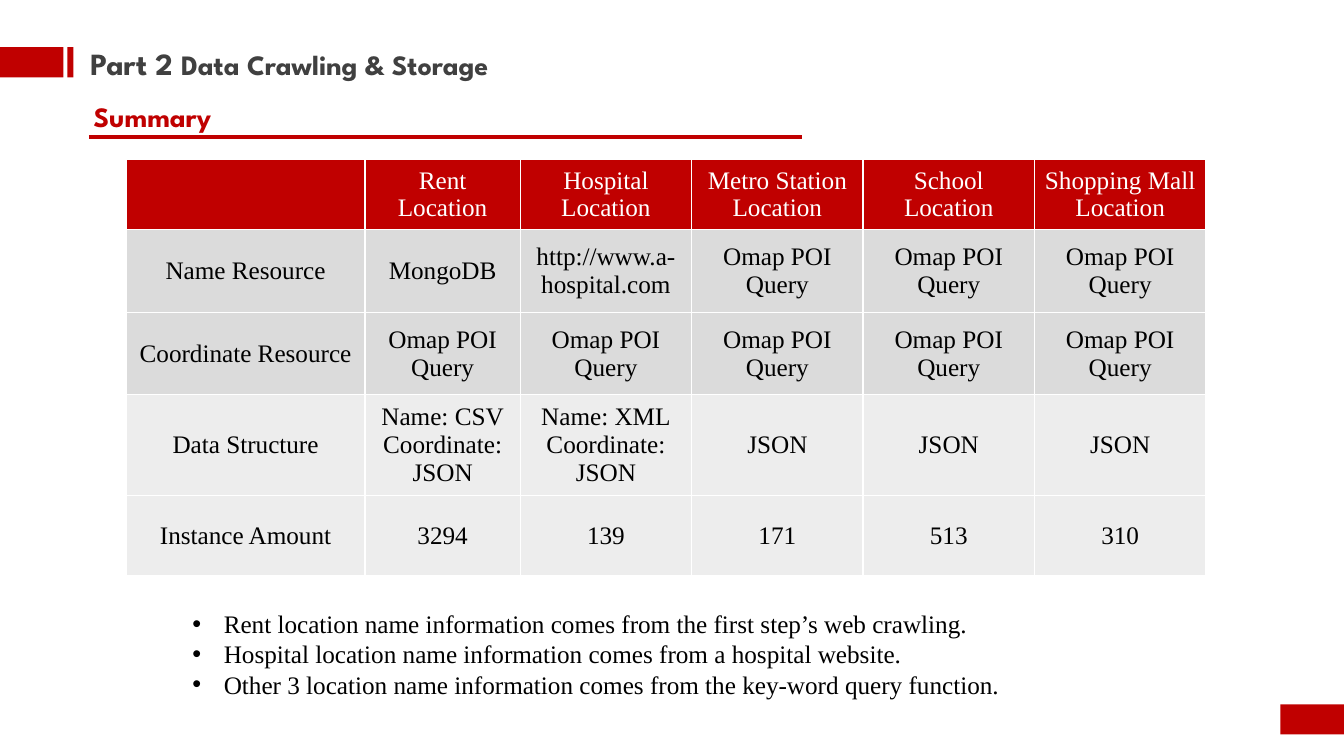
from dataclasses import dataclass

from lxml.etree import SubElement
from pptx import Presentation
from pptx.dml.color import RGBColor
from pptx.enum.shapes import MSO_CONNECTOR as Connector, MSO_SHAPE as Preset
from pptx.enum.text import MSO_ANCHOR as Anchor, PP_ALIGN as Align
from pptx.oxml.ns import qn
from pptx.slide import Slide
from pptx.table import _Cell as Cell
from pptx.text.text import TextFrame
from pptx.util import Cm, Pt


@dataclass(frozen=True)
class Theme:
    red: str = "C00000"
    heading: str = "404040"
    white: str = "FFFFFF"
    black: str = "000000"
    dark_band: str = "DBDBDB"
    light_band: str = "EDEDED"
    heading_font: str = "League Spartan"
    body_font: str = "Times New Roman"
    part_size: int = 22
    heading_size: int = 20
    body_size: int = 18
    grid_width: int = 1
    underline_width: int = 3


@dataclass(frozen=True)
class Box:
    left: float
    top: float
    width: float
    height: float

    def lengths(self) -> tuple[Cm, Cm, Cm, Cm]:
        return Cm(self.left), Cm(self.top), Cm(self.width), Cm(self.height)


@dataclass(frozen=True)
class Row:
    height: float
    fill: str
    color: str
    texts: tuple[str, ...]


THEME = Theme()
QUERY = "Omap POI Query"

ACCENTS = (
    Box(0, 1.19, 1.6, 0.76),
    Box(1.7, 1.19, 0.15, 0.76),
    Box(32.27, 17.75, 1.6, 0.76),
)
COLUMN_WIDTHS = (6.02, 3.91) + (4.32,) * 4
ROWS = (
    Row(1.42, THEME.red, THEME.white,
        ("", "Rent Location", "Hospital Location", "Metro Station Location",
         "School Location", "Shopping Mall Location")),
    Row(2.08, THEME.dark_band, THEME.black,
        ("Name Resource", "MongoDB", "http://www.a-hospital.com") + (QUERY,) * 3),
    Row(2.08, THEME.dark_band, THEME.black,
        ("Coordinate Resource",) + (QUERY,) * 5),
    Row(2.03, THEME.light_band, THEME.black,
        ("Data Structure", "Name: CSV\nCoordinate: JSON",
         "Name: XML\nCoordinate: JSON") + ("JSON",) * 3),
    Row(2.01, THEME.light_band, THEME.black,
        ("Instance Amount", "3294", "139", "171", "513", "310")),
)
NOTES = (
    "Rent location name information comes from the first step’s web crawling.\n"
    "Hospital location name information comes from a hospital website.\n"
    "Other 3 location name information comes from the key-word query function."
)


def write(frame: TextFrame, text: str, *, size: int = THEME.body_size,
          font: str = THEME.body_font, color: str = THEME.black,
          bold: bool = False, align: Align = Align.LEFT,
          bullet: bool = False, lead: str = "", lead_size: int = 0) -> None:
    """Fill a frame, one paragraph a line; lead opens the first at its own size."""
    frame.word_wrap = True
    for index, line in enumerate(text.split("\n")):
        paragraph = frame.add_paragraph() if index else frame.paragraphs[0]
        paragraph.alignment = align
        if bullet:
            props = paragraph._p.get_or_add_pPr()
            props.set("marL", str(Cm(0.79)))
            props.set("indent", str(Cm(-0.91)))
            SubElement(props, qn("a:buFont"), typeface="Arial")
            SubElement(props, qn("a:buChar"), char="•")
        pieces = [(line, size)]
        if lead and index == 0:
            pieces.insert(0, (lead, lead_size))
        for words, points in pieces:
            run = paragraph.add_run()
            run.text = words
            run.font.size = Pt(points)
            run.font.name = font
            run.font.bold = bold
            run.font.color.rgb = RGBColor.from_string(color)


def add_text(slide: Slide, box: Box, text: str, **style) -> None:
    write(slide.shapes.add_textbox(*box.lengths()).text_frame, text, **style)


def add_accent(slide: Slide, box: Box) -> None:
    accent = slide.shapes.add_shape(Preset.RECTANGLE, *box.lengths())
    accent.shadow.inherit = False
    accent.fill.solid()
    accent.fill.fore_color.rgb = RGBColor.from_string(THEME.red)
    accent.line.fill.background()


def add_underline(slide: Slide, left: float, right: float, y: float) -> None:
    underline = slide.shapes.add_connector(
        Connector.STRAIGHT, Cm(left), Cm(y), Cm(right), Cm(y))
    underline.line.color.rgb = RGBColor.from_string(THEME.red)
    underline.line.width = Pt(THEME.underline_width)
    SubElement(underline._element.spPr, qn("a:effectLst"))


def add_borders(cell: Cell) -> None:
    props = cell._tc.get_or_add_tcPr()
    for side in ("lnL", "lnR", "lnT", "lnB"):
        border = SubElement(props, qn(f"a:{side}"), w=str(Pt(THEME.grid_width)))
        fill = SubElement(border, qn("a:solidFill"))
        SubElement(fill, qn("a:srgbClr"), val=THEME.white)


def add_summary_table(slide: Slide, left: float, top: float) -> None:
    box = Box(left, top, sum(COLUMN_WIDTHS), sum(row.height for row in ROWS))
    table = slide.shapes.add_table(
        len(ROWS), len(COLUMN_WIDTHS), *box.lengths()).table
    table.first_row = table.horz_banding = False
    for column, width in zip(table.columns, COLUMN_WIDTHS):
        column.width = Cm(width)
    for table_row, row in zip(table.rows, ROWS):
        table_row.height = Cm(row.height)
        for cell, text in zip(table_row.cells, row.texts):
            add_borders(cell)
            cell.fill.solid()
            cell.fill.fore_color.rgb = RGBColor.from_string(row.fill)
            cell.vertical_anchor = Anchor.MIDDLE
            if text:
                write(cell.text_frame, text, color=row.color, align=Align.CENTER)


def main() -> None:
    deck = Presentation()
    deck.slide_width, deck.slide_height = Cm(33.87), Cm(19.05)
    slide = deck.slides.add_slide(deck.slide_layouts[6])

    # Red accents at the edges
    for box in ACCENTS:
        add_accent(slide, box)

    # Title and section heading
    add_text(slide, Box(2.03, 0.99, 29.49, 1.19), "Data Crawling & Storage",
             lead="Part 2 ", lead_size=THEME.part_size, size=THEME.heading_size,
             font=THEME.heading_font, color=THEME.heading, bold=True)
    add_text(slide, Box(2.11, 2.39, 10.67, 1.12), "Summary",
             size=THEME.heading_size, font=THEME.heading_font,
             color=THEME.red, bold=True)
    add_underline(slide, 2.24, 20.22, 3.45)

    # Sources table and notes
    add_summary_table(slide, 3.18, 4.01)
    add_text(slide, Box(4.6, 15.21, 23.16, 2.57), NOTES, bullet=True)

    deck.save("out.pptx")


if __name__ == "__main__":
    main()
